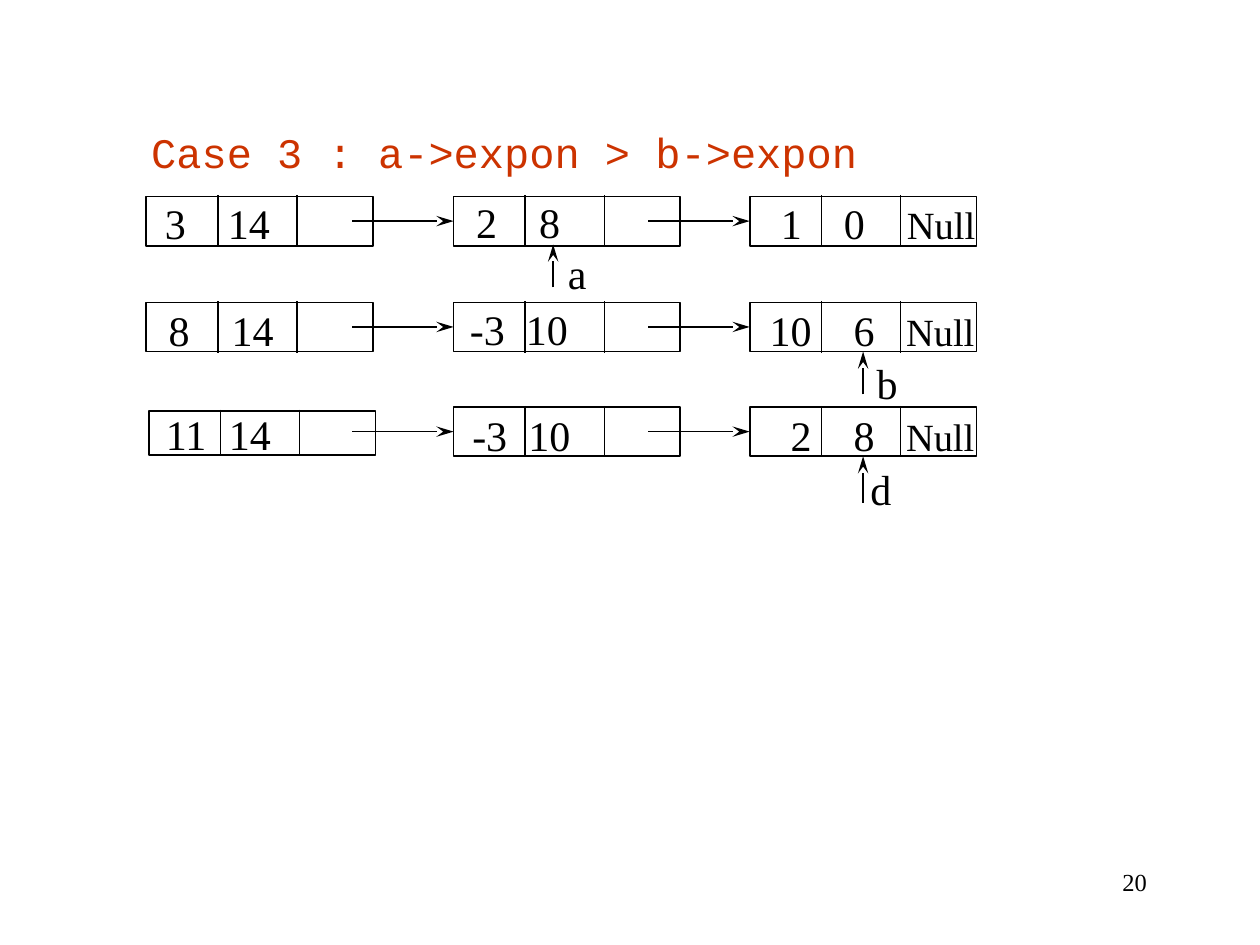
from dataclasses import dataclass

from lxml import etree
from pptx import Presentation
from pptx.dml.color import RGBColor
from pptx.enum.shapes import MSO_CONNECTOR, MSO_SHAPE
from pptx.enum.text import MSO_ANCHOR, MSO_AUTO_SIZE, PP_ALIGN
from pptx.oxml.ns import qn
from pptx.shapes.autoshape import Shape
from pptx.shapes.connector import Connector
from pptx.slide import Slide
from pptx.util import Pt

STRAIGHT = MSO_CONNECTOR.STRAIGHT
RECTANGLE = MSO_SHAPE.RECTANGLE
TOP = MSO_ANCHOR.TOP
NO_AUTOFIT = MSO_AUTO_SIZE.NONE
LEFT = PP_ALIGN.LEFT
RIGHT = PP_ALIGN.RIGHT

BLACK = RGBColor(0x00, 0x00, 0x00)
RED = RGBColor(0xCC, 0x33, 0x00)
SERIF = "Times New Roman"
MONO = "Courier New"

NODE_WIDTH = 129.6
NODE_HEIGHT = 28.1
DIVIDERS = (41, 86.2)
OVERHANG = 0.6
ARROW_LENGTH = 60
LEFT_SIDE = 1
BOTTOM_SIDE = 2


@dataclass(frozen=True)
class Node:
    left: float
    top: float
    text_left: float
    text_top: float
    values: tuple[str, ...]
    tabs: tuple[float, ...]
    height: float = NODE_HEIGHT


@dataclass(frozen=True)
class Pointer:
    name: str
    x: float
    tip: float
    tail: float
    label_left: float
    label_top: float
    target: tuple[int, int] | None = None


LISTS = (
    (
        Node(83.5, 112.3, 87.1, 109.4, ("3", "14"), (36,)),
        Node(259.2, 112.3, 265, 108.7, ("2", "8"), (36,)),
        Node(428.4, 112.3, 439.2, 109.4, ("1", "0", "Null"), (36, 72)),
    ),
    (
        Node(83.5, 172.8, 89.3, 170.6, ("8", "14"), (36,)),
        Node(259.2, 172.8, 261.4, 169.9, ("-3", "10"), (32,)),
        Node(428.4, 172.8, 432.7, 170.6, ("10", "6", "Null"), (48, 78)),
    ),
    (
        Node(85, 234.7, 87.8, 229.7, ("11", "14"), (36,), 25.2),
        Node(259.2, 232.6, 262.8, 230.4, ("-3", "10"), (32,)),
        Node(428.4, 232.6, 444.7, 230.4, ("2", "8", "Null"), (36, 66)),
    ),
)

POINTERS = (
    Pointer("a", 316.1, 139.7, 164.2, 317.5, 138.2),
    Pointer("b", 493.2, 200.9, 225.4, 493.9, 200.9, (1, 2)),
    Pointer("d", 493.2, 260.7, 287.3, 490.3, 261.4, (2, 2)),
)


def add_text(page: Slide, left: float, top: float, width: float,
             spans: tuple[str, ...], tabs: tuple[float, ...] = (),
             size: float = 24, align: PP_ALIGN = LEFT) -> None:
    box = page.shapes.add_textbox(Pt(left), Pt(top), Pt(width), Pt(36))
    box.text_frame.word_wrap = True
    para = box.text_frame.paragraphs[0]
    para.alignment = align
    if tabs:
        tab_list = etree.SubElement(para._p.get_or_add_pPr(), qn("a:tabLst"))
        for position in tabs:
            etree.SubElement(tab_list, qn("a:tab"), pos=str(int(Pt(position))), algn="l")
    para.font.name = SERIF
    para.font.size = Pt(size)
    para.font.color.rgb = BLACK
    for index, text in enumerate(spans):
        span = para.add_run()
        span.text = f"\t{text}" if index else text
        if text == "Null":
            span.font.size = Pt(22)


def add_line(page: Slide, x1: float, y1: float, x2: float, y2: float,
             arrow: bool = False) -> Connector:
    line = page.shapes.add_connector(STRAIGHT, Pt(x1), Pt(y1), Pt(x2), Pt(y2))
    line.line.color.rgb = BLACK
    line.line.width = Pt(1)
    if arrow:
        etree.SubElement(line.line._get_or_add_ln(), qn("a:tailEnd"),
                         type="stealth", w="med", len="lg")
    etree.SubElement(line._element.spPr, qn("a:effectLst"))
    return line


def add_node(page: Slide, node: Node) -> Shape:
    box = page.shapes.add_shape(RECTANGLE, Pt(node.left), Pt(node.top),
                                Pt(NODE_WIDTH), Pt(node.height))
    box.shadow.inherit = False
    box.fill.background()
    box.line.color.rgb = BLACK
    box.line.width = Pt(1)
    for offset in DIVIDERS:
        x = node.left + offset
        add_line(page, x, node.top - OVERHANG, x, node.top + node.height + OVERHANG)
    add_text(page, node.text_left, node.text_top, 150, node.values, node.tabs)
    return box


def add_link(page: Slide, node: Node, box: Shape) -> None:
    middle = node.top + node.height / 2
    link = add_line(page, node.left - ARROW_LENGTH + 2, middle, node.left, middle, True)
    link.end_connect(box, LEFT_SIDE)


def add_pointer(page: Slide, pointer: Pointer, boxes: list[list[Shape]]) -> None:
    line = add_line(page, pointer.x, pointer.tail, pointer.x, pointer.tip, True)
    if pointer.target:
        row, column = pointer.target
        line.end_connect(boxes[row][column], BOTTOM_SIDE)
    add_text(page, pointer.label_left, pointer.label_top, 28, (pointer.name,))


def add_title(page: Slide) -> None:
    title = page.shapes.title
    title.left, title.top, title.width, title.height = Pt(79.2), Pt(68.4), Pt(440), Pt(36)
    frame = title.text_frame
    frame.text = "Case 3 : a->expon > b->expon"
    frame.word_wrap = True
    frame.auto_size = NO_AUTOFIT
    frame.vertical_anchor = TOP
    para = frame.paragraphs[0]
    para.alignment = LEFT
    para.font.name = MONO
    para.font.size = Pt(24)
    para.font.color.rgb = RED


def main() -> None:
    deck = Presentation()
    deck.slide_width, deck.slide_height = Pt(720), Pt(540)
    page = deck.slides.add_slide(deck.slide_layouts[5])
    add_title(page)
    boxes = [[add_node(page, node) for node in nodes] for nodes in LISTS]
    for nodes, row in zip(LISTS, boxes):
        for node, box in zip(nodes[1:], row[1:]):
            add_link(page, node, box)
    for pointer in POINTERS:
        add_pointer(page, pointer, boxes)
    add_text(page, 512.6, 491.8, 149.8, ("20",), size=14, align=RIGHT)
    deck.save("out.pptx")


if __name__ == "__main__":
    main()
